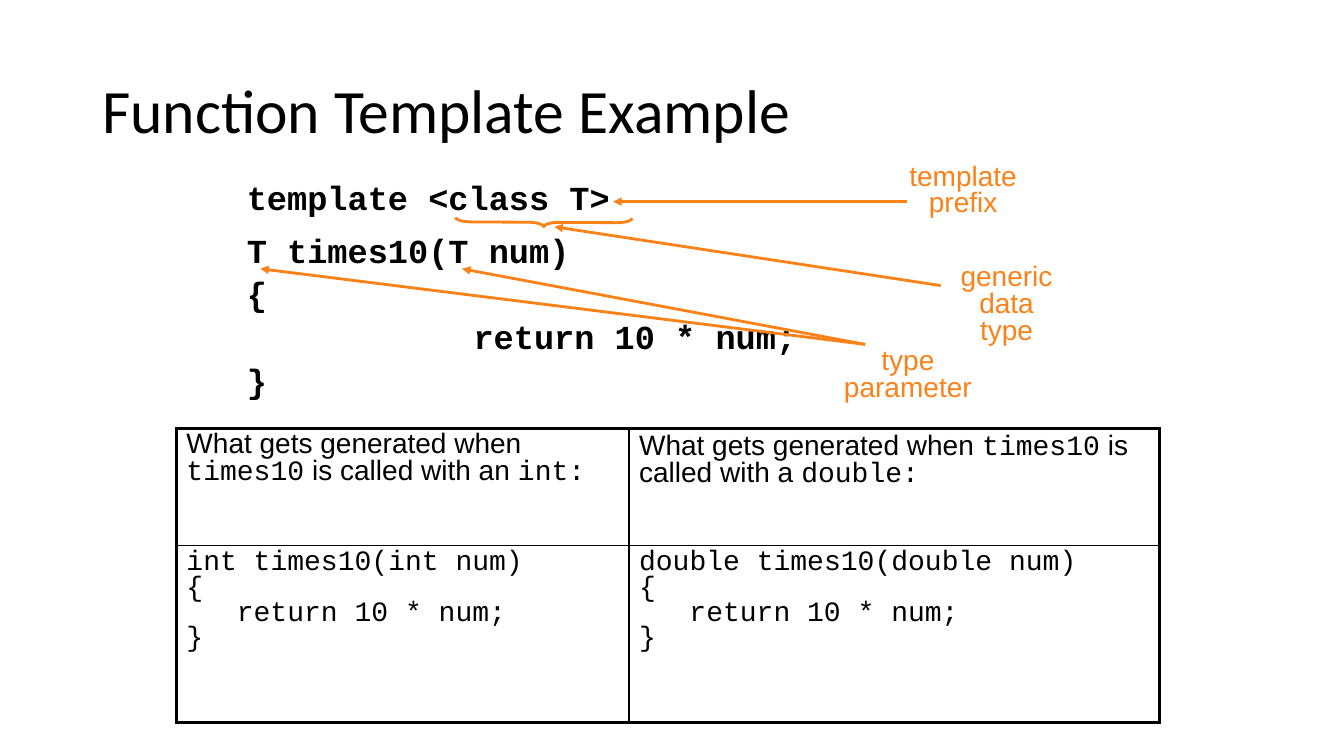
import pptx
import pptx.util
import pptx.dml.color
import pptx.enum.shapes
import pptx.enum.text
import pptx.oxml
import pptx.oxml.ns
import lxml.etree

Pt = pptx.util.Pt
SHAPE = pptx.enum.shapes.MSO_SHAPE
ALIGN = pptx.enum.text.PP_ALIGN
ANCHOR = pptx.enum.text.MSO_ANCHOR

COLORS = {"text": "000000", "accent": "FA8218"}
SANS, MONO = "Arial", "Courier New"

TITLE = "Function Template Example"
CODE = [
    ("template <class T>", 36, 5),
    ("T times10(T num)", 36, 12),
    ("{", 36, 5),
    ("return 10 * num;", 198, 5),
    ("}", 36, 5),
]
LABELS = [
    (("template", "prefix"), (642, 114, 92, 46)),
    (("generic", "data type"), (671, 186, 96, 46)),
    (("type", "parameter"), (595.5, 245.5, 106, 46)),
]
ARROWS = [
    ((648, 144), (438, 144)),
    ((672, 204), (396, 162)),
    ((618, 246), (330, 192)),
    ((618, 246), (186, 192)),
]
BRACE = (385.2, 95.8, 6.5, 126)
TYPES = [("int", "an"), ("double", "a")]
COL_WIDTHS = (323.3, 378.7)
ROW_HEIGHTS = (83.5, 126.7)


def rgb(name):
    return pptx.dml.color.RGBColor.from_string(COLORS[name])


def write(tf, paragraphs, size, font=SANS, color="text", bold=False,
          align=ALIGN.LEFT, spacing=0.8):
    for i, (runs, indent, before) in enumerate(paragraphs):
        p = tf.paragraphs[0] if i == 0 else tf.add_paragraph()
        p.alignment, p.line_spacing, p.space_before = align, spacing, Pt(before)
        p._p.get_or_add_pPr().set("marL", str(Pt(indent)))
        for text, face in [(runs, font)] if isinstance(runs, str) else runs:
            r = p.add_run()
            r.text = text
            r.font.name, r.font.size, r.font.bold = face, Pt(size), bold
            r.font.color.rgb = rgb(color)


def add_text(box, paragraphs, size, wrap=True, anchor=ANCHOR.TOP, **style):
    tf = s.shapes.add_textbox(*map(Pt, box)).text_frame
    tf.word_wrap, tf.vertical_anchor = wrap, anchor
    write(tf, paragraphs, size, **style)


def add_arrow(start, end):
    sp = s.shapes.add_connector(pptx.enum.shapes.MSO_CONNECTOR.STRAIGHT,
                                *map(Pt, start + end))
    sp.line.color.rgb, sp.line.width = rgb("accent"), Pt(2)
    ln = sp.line._get_or_add_ln()
    lxml.etree.SubElement(ln, pptx.oxml.ns.qn("a:tailEnd"), type="triangle")
    lxml.etree.SubElement(sp._element.spPr, pptx.oxml.ns.qn("a:effectLst"))


def set_borders(cell, widths):
    tcPr = cell._tc.get_or_add_tcPr()
    for side, width in zip("LRTB", widths):
        tcPr.append(pptx.oxml.parse_xml(
            f'<a:ln{side} {pptx.oxml.ns.nsdecls("a")} w="{Pt(width)}"><a:solidFill>'
            f'<a:srgbClr val="{COLORS["text"]}"/></a:solidFill></a:ln{side}>'))


prs = pptx.Presentation()
prs.slide_width, prs.slide_height = Pt(960), Pt(540)
s = prs.slides.add_slide(prs.slide_layouts[6])

add_text((66, 28.8, 828, 104.4), [(TITLE, 0, 0)], 44, font="Calibri",
         anchor=ANCHOR.MIDDLE, spacing=0.9)
add_text((133.2, 126, 653, 360), CODE, 24, font=MONO, bold=True, spacing=0.9)
for lines, box in LABELS:
    add_text(box, [(line, 0, 0) for line in lines], 20, wrap=False,
             color="accent", align=ALIGN.CENTER)
for start, end in ARROWS:
    add_arrow(start, end)

sp = s.shapes.add_shape(SHAPE.LEFT_BRACE, *map(Pt, BRACE))
sp.rotation = 270.3
sp.adjustments[0], sp.adjustments[1] = 1.68, 0.5
sp.shadow.inherit = False
sp.fill.background()
sp.line.color.rgb, sp.line.width = rgb("accent"), Pt(2)

table = s.shapes.add_table(2, 2, Pt(126), Pt(306), Pt(sum(COL_WIDTHS)),
                           Pt(sum(ROW_HEIGHTS))).table
table.first_row = table.horz_banding = False
for row, height in zip(table.rows, ROW_HEIGHTS):
    row.height = Pt(height)
for c, (kind, article) in enumerate(TYPES):
    table.columns[c].width = Pt(COL_WIDTHS[c])
    heading = [("What gets generated when ", SANS), ("times10", MONO),
               (f" is called with {article} ", SANS), (f"{kind}:", MONO)]
    body = [(f"{kind} times10({kind} num)", 0, 0), ("{", 0, 0),
            ("return 10 * num;", 36, 0), ("}", 0, 0)]
    for r, paragraphs in enumerate([[(heading, 0, 0)], body]):
        cell = table.cell(r, c)
        outer = (c == 0, c == 1, r == 0, r == 1)
        set_borders(cell, [2.25 if edge else 1 for edge in outer])
        cell.fill.background()
        write(cell.text_frame, paragraphs, 20, font=MONO)

prs.save("out.pptx")
